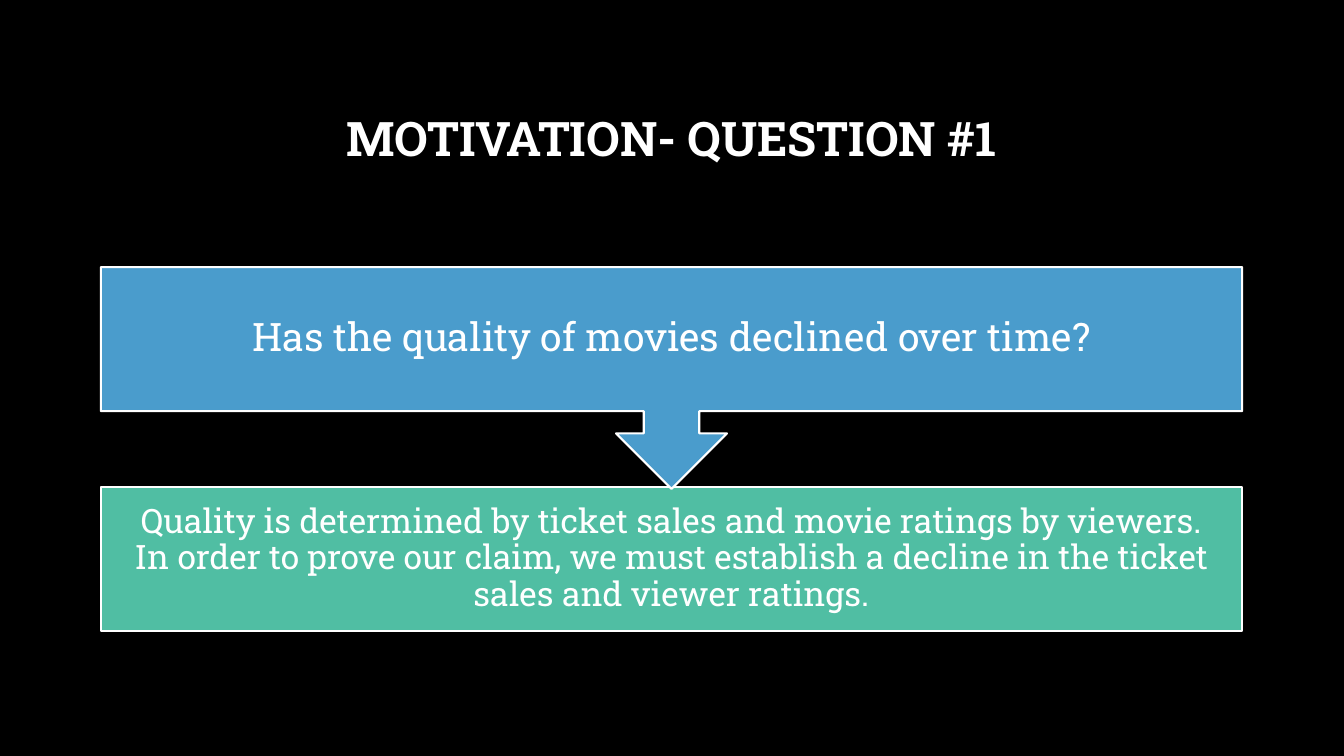
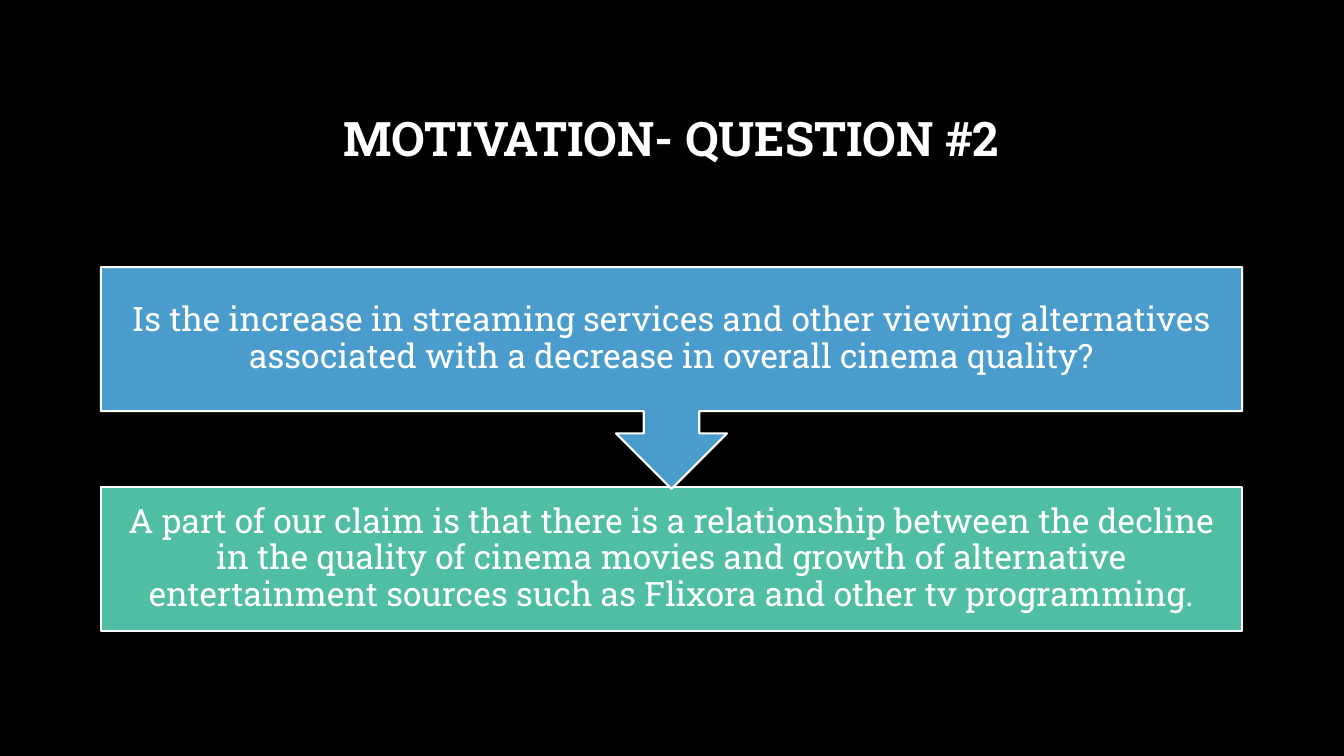
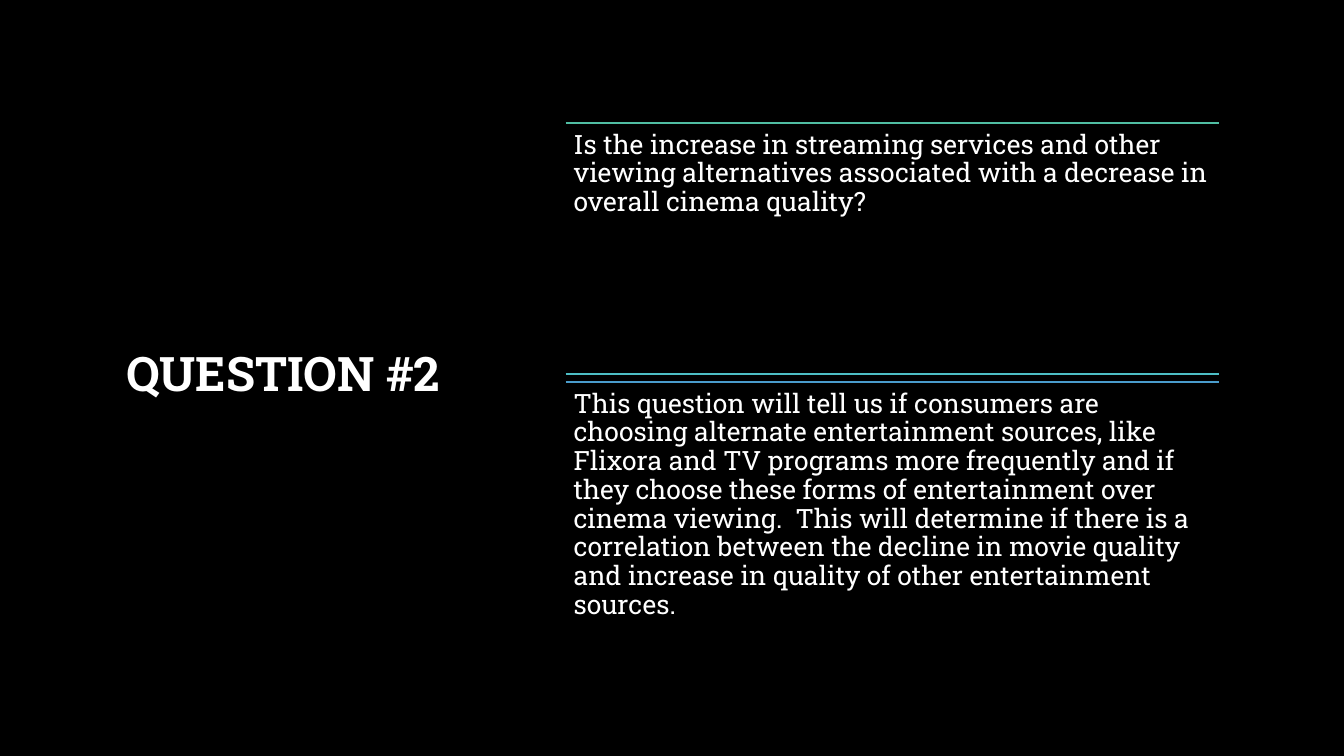
from dataclasses import dataclass

from lxml.etree import SubElement
from pptx import Presentation
from pptx.dml.color import RGBColor
from pptx.enum.shapes import MSO_CONNECTOR, MSO_SHAPE
from pptx.enum.text import MSO_ANCHOR, PP_ALIGN
from pptx.oxml.ns import qn
from pptx.util import Inches, Pt


@dataclass(frozen=True)
class Theme:
    font: str = "Roboto Slab"
    background: str = "000000"
    text: str = "FFFFFF"
    blue: str = "4A9CCC"
    green: str = "50BEA3"
    teal: str = "4DBEC5"
    title_size: int = 34
    short_size: int = 28
    box_size: int = 24
    body_size: int = 19
    line_spacing: float = 0.9
    border: float = 1.5
    rule: float = 1


THEME = Theme()
STREAMING_QUESTION = (
    "Is the increase in streaming services and other viewing alternatives "
    "associated with a decrease in overall cinema quality?"
)


def rgb(colour):
    return RGBColor.from_string(colour)


def write(shape, text, *, size, bold=False, align=PP_ALIGN.CENTER,
          anchor=MSO_ANCHOR.MIDDLE, inset=0.1):
    frame = shape.text_frame
    frame.word_wrap = True
    frame.vertical_anchor = anchor
    frame.margin_left = frame.margin_right = Inches(inset)
    frame.margin_top = frame.margin_bottom = Inches(inset)
    paragraph = frame.paragraphs[0]
    paragraph.alignment = align
    paragraph.line_spacing = THEME.line_spacing
    run = paragraph.add_run()
    run.text = text
    run.font.name = THEME.font
    run.font.size = Pt(size)
    run.font.bold = bold
    run.font.color.rgb = rgb(THEME.text)


def add_text(slide, text, left, top, width, height, **style):
    box = slide.shapes.add_textbox(
        Inches(left), Inches(top), Inches(width), Inches(height))
    write(box, text, **style)


def add_box(slide, preset, text, top, height, fill, size, inset):
    box = slide.shapes.add_shape(
        preset, Inches(1), Inches(top), Inches(11.32), Inches(height))
    box.shadow.inherit = False
    box.fill.solid()
    box.fill.fore_color.rgb = rgb(fill)
    box.line.color.rgb = rgb(THEME.text)
    box.line.width = Pt(THEME.border)
    write(box, text, size=size, inset=inset)


def add_rule(slide, left, top, width, colour):
    rule = slide.shapes.add_connector(
        MSO_CONNECTOR.STRAIGHT, Inches(left), Inches(top),
        Inches(left + width), Inches(top))
    rule.line.color.rgb = rgb(colour)
    rule.line.width = Pt(THEME.rule)
    SubElement(rule._element.spPr, qn("a:effectLst"))


def add_slide(deck, title, left, top, width, height):
    slide = deck.slides.add_slide(deck.slide_layouts[6])
    slide.background.fill.solid()
    slide.background.fill.fore_color.rgb = rgb(THEME.background)
    add_text(slide, title, left, top, width, height,
             size=THEME.title_size, bold=True)
    return slide


def add_motivation(deck, number, question, claim, question_size, question_inset):
    """Add a slide where a question box points down at the claim box."""
    slide = add_slide(deck, f"MOTIVATION- QUESTION #{number}", 1, 0.67, 11.32, 1.45)
    add_box(slide, MSO_SHAPE.RECTANGLE, claim, 4.83, 1.43,
            THEME.green, THEME.box_size, 0.19)
    add_box(slide, MSO_SHAPE.DOWN_ARROW_CALLOUT, question, 2.65, 2.2,
            THEME.blue, question_size, question_inset)


def add_question(deck, title, question, reason):
    left, width, height = 5.61, 6.48, 2.49
    question_top, reason_top = 1.22, 3.79
    slide = add_slide(deck, title, 0.82, 0.67, 3.98, 6.13)
    for top, colour in ((question_top, THEME.green),
                        (question_top + height, THEME.teal),
                        (reason_top, THEME.blue)):
        add_rule(slide, left, top, width, colour)
    for top, text in ((question_top, question), (reason_top, reason)):
        add_text(slide, text, left, top, width, height, size=THEME.body_size,
                 align=PP_ALIGN.LEFT, anchor=MSO_ANCHOR.TOP, inset=0.08)


def main():
    deck = Presentation()
    deck.slide_width, deck.slide_height = Inches(13.33), Inches(7.5)
    add_motivation(
        deck, 1, "Has the quality of movies declined over time?",
        "Quality is determined by ticket sales and movie ratings by viewers. "
        "In order to prove our claim, we must establish a decline in the "
        "ticket sales and viewer ratings.",
        THEME.short_size, 0.22)
    add_motivation(
        deck, 2, STREAMING_QUESTION,
        "A part of our claim is that there is a relationship between the "
        "decline in the quality of cinema movies and growth of alternative "
        "entertainment sources such as Flixora and other tv programming.",
        THEME.box_size, 0.19)
    add_question(
        deck, "QUESTION #2", STREAMING_QUESTION,
        "This question will tell us if consumers are choosing alternate "
        "entertainment sources, like Flixora and TV programs more frequently "
        "and if they choose these forms of entertainment over cinema viewing.  "
        "This will determine if there is a correlation between the decline in "
        "movie quality and increase in quality of other entertainment sources.")
    deck.save("out.pptx")


if __name__ == "__main__":
    main()
